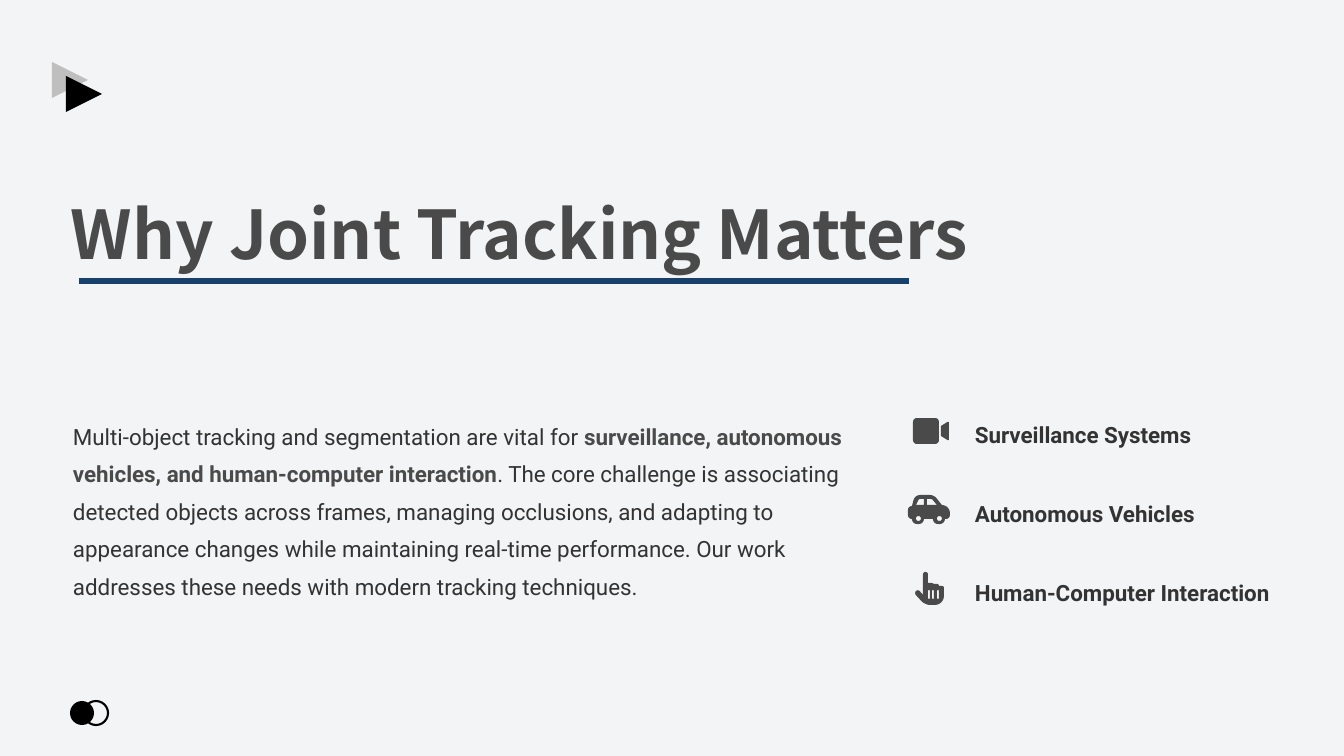
import math

import pptx
import pptx.dml.color
import pptx.enum.shapes
import pptx.enum.text
import pptx.oxml.ns
import pptx.util
from lxml import etree

COLORS = {
    "background": "F3F4F6", "black": "000000", "shade": "BFBFBF",
    "heading": "4A4A4A", "body": "333333", "rule": "17406D",
}
TITLE = "Why Joint Tracking Matters"
# (text, emphasised)
BODY = [
    ("Multi-object tracking and segmentation are vital for ", False),
    ("surveillance, autonomous vehicles, and human-computer interaction", True),
    (". The core challenge is associating detected objects across frames, managing "
     "occlusions, and adapting to appearance changes while maintaining real-time "
     "performance. Our work addresses these needs with modern tracking techniques.", False),
]


def box(left, top, right, bottom, radius):
    """Corners of a rectangle, each as (x, y, radius)."""
    return [(left, top, radius), (right, top, radius),
            (right, bottom, radius), (left, bottom, radius)]


# Each icon is a list of outlines; a corner is (x, y, radius) in px
CAMERA = [
    box(5, 4, 31, 30, 4),
    [(33, 12, 0), (41, 7, 2), (41, 27, 2), (33, 22, 0)],
]
CAR = [
    [(0, 13, 4), (4, 13, 0), (7, 2, 5), (26, 2, 4), (34, 12, 0), (42, 13, 7),
     (42, 26, 4), (37, 26, 0), (37, 31, 5), (25, 31, 5), (25, 26, 0),
     (16, 26, 0), (16, 31, 5), (4, 31, 5), (4, 26, 0), (0, 26, 4)],
    [(8, 12, 0), (11, 6, 1), (16, 6, 0), (16, 12, 0)],
    [(19, 6, 0), (24, 6, 1), (29, 12, 0), (19, 12, 0)],
    box(8, 23, 13, 28, 2.5),
    box(29, 23, 34, 28, 2.5),
]
HAND = [
    [(15, 0, 2.5), (20, 0, 2.5), (20, 11, 0), (25, 11, 2), (26, 12, 0),
     (31, 12, 2), (31, 14, 0), (36, 14, 2), (36, 33, 9), (17, 33, 5),
     (6, 21, 3), (10, 17, 3), (15, 23, 0)],
    *[box(left, 18, left + 2, 27, 1) for left in (20, 24, 29)],
]
# (label, label width, icon)
APPLICATIONS = [
    ("Surveillance Systems", 242, CAMERA),
    ("Autonomous Vehicles", 246, CAR),
    ("Human-Computer Interaction", 321, HAND),
]
ICON_LEFT, LABEL_LEFT, ROW_TOP, ROW_PITCH, ROW_HEIGHT = 908, 975, 414, 79, 33
CURVE_STEPS = 6
CURVE_PULL = 0.55

Shapes = pptx.enum.shapes.MSO_SHAPE


def px(length):
    return pptx.util.Emu(round(length * 914400 / 100.8))


def color(name):
    return pptx.dml.color.RGBColor.from_string(COLORS[name])


def add_text(slide, runs, bounds, *, size, font, spacing, normal, strong):
    """Runs are (text, emphasised); normal and strong are colour names."""
    frame = slide.shapes.add_textbox(*map(px, bounds)).text_frame
    frame.word_wrap = True
    frame.vertical_anchor = pptx.enum.text.MSO_ANCHOR.MIDDLE
    frame.margin_left = frame.margin_top = frame.margin_right = frame.margin_bottom = 0
    paragraph = frame.paragraphs[0]
    paragraph.line_spacing = spacing
    for text, emphasised in runs:
        run = paragraph.add_run()
        run.text = text
        run.font.size = pptx.util.Pt(size)
        run.font.name = font
        run.font.bold = emphasised
        run.font.color.rgb = color(strong if emphasised else normal)


def style(shape, fill=None, line=None):
    shape.shadow.inherit = False
    if fill:
        shape.fill.solid()
        shape.fill.fore_color.rgb = color(fill)
    else:
        shape.fill.background()
    if line:
        shape.line.color.rgb = color(line)
        shape.line.width = pptx.util.Pt(1.5)
    else:
        shape.line.fill.background()


def round_corners(corners):
    """Points along an outline whose corners are replaced by short curves."""
    points = []
    for index, (x, y, radius) in enumerate(corners):
        if not radius:
            points.append((x, y))
            continue
        ends = []
        for near_x, near_y, _ in (corners[index - 1], corners[(index + 1) % len(corners)]):
            share = radius / math.hypot(near_x - x, near_y - y)
            ends.append(((near_x - x) * share, (near_y - y) * share))
        for step in range(CURVE_STEPS + 1):
            t = step / CURVE_STEPS
            pull = 1 - CURVE_PULL
            before = (1 - t) ** 3 + 3 * (1 - t) ** 2 * t * pull
            after = t ** 3 + 3 * t ** 2 * (1 - t) * pull
            points.append((x + before * ends[0][0] + after * ends[1][0],
                           y + before * ends[0][1] + after * ends[1][1]))
    return points


def add_icon(slide, outlines, left, top):
    builder = None
    for corners in outlines:
        points = [(px(left + x), px(top + y)) for x, y in round_corners(corners)]
        if builder is None:
            builder = slide.shapes.build_freeform(*points[0], scale=1.0)
        else:
            builder.move_to(*points[0])
        builder.add_line_segments(points[1:], close=True)
    style(builder.convert_to_shape(), fill="heading")


def add_rule(slide, left, right, y):
    rule = slide.shapes.add_connector(
        pptx.enum.shapes.MSO_CONNECTOR.STRAIGHT, px(left), px(y), px(right), px(y))
    rule.line.color.rgb = color("rule")
    rule.line.width = pptx.util.Pt(4)
    properties = rule._element.find(pptx.oxml.ns.qn("p:spPr"))
    etree.SubElement(properties, pptx.oxml.ns.qn("a:effectLst"))


def main():
    presentation = pptx.Presentation()
    presentation.slide_width = px(1344)
    presentation.slide_height = px(756)
    slide = presentation.slides.add_slide(presentation.slide_layouts[6])
    slide.background.fill.solid()
    slide.background.fill.fore_color.rgb = color("background")

    for left, fill, line in ((70, "black", None), (84, None, "black")):
        dot = slide.shapes.add_shape(
            Shapes.ROUNDED_RECTANGLE, px(left), px(701), px(24), px(24))
        dot.adjustments[0] = 0.5
        style(dot, fill, line)
    for left, top, fill in ((52, 62, "shade"), (66, 76, "black")):
        arrow = slide.shapes.add_shape(
            Shapes.ISOSCELES_TRIANGLE, px(left), px(top), px(36), px(36))
        arrow.rotation = 90
        style(arrow, fill)

    add_text(slide, [(TITLE, True)], (71, 173, 1254, 134), size=48,
             font="Noto Sans CJK SC", spacing=0.8, normal="heading", strong="heading")
    add_text(slide, BODY, (73, 365, 795, 282), size=16,
             font="Roboto", spacing=1.4, normal="body", strong="heading")
    for row, (label, width, icon) in enumerate(APPLICATIONS):
        top = ROW_TOP + row * ROW_PITCH
        add_icon(slide, icon, ICON_LEFT, top)
        add_text(slide, [(label, True)], (LABEL_LEFT, top, width, ROW_HEIGHT), size=16,
                 font="Roboto", spacing=1.3, normal="body", strong="body")
    add_rule(slide, 79, 909, 281)

    presentation.save("out.pptx")


if __name__ == "__main__":
    main()
